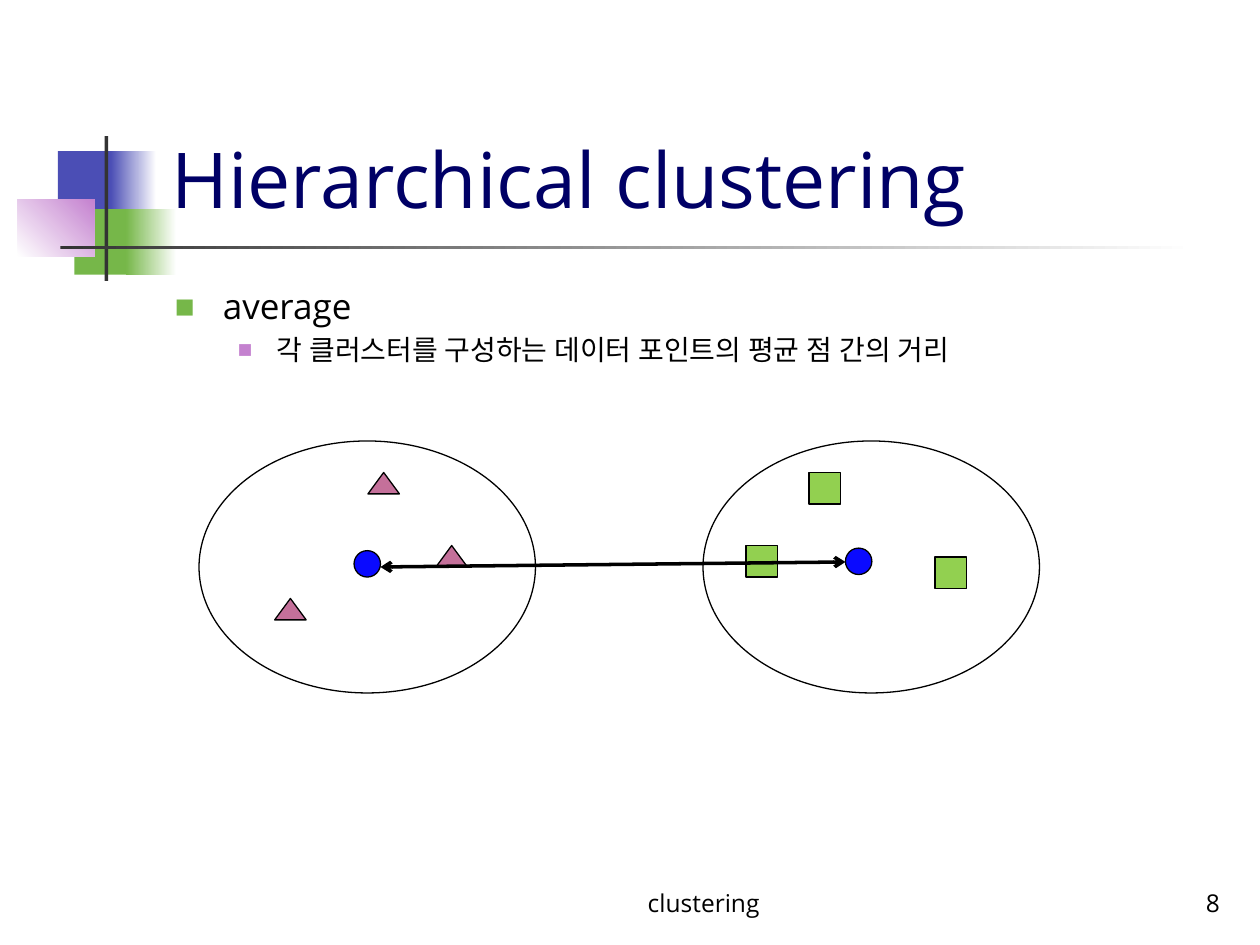
import pptx
import pptx.util
import pptx.dml.color
import pptx.enum.shapes
import pptx.enum.text
import pptx.oxml
import pptx.oxml.ns
from lxml import etree

Inches, Pt = pptx.util.Inches, pptx.util.Pt
KIND = pptx.enum.shapes.MSO_SHAPE
ALIGN = pptx.enum.text.PP_ALIGN
ANCHOR = pptx.enum.text.MSO_ANCHOR
qn = pptx.oxml.ns.qn


def paint(color, text):
    """Set a color format from a hex string."""
    color.rgb = pptx.dml.color.RGBColor.from_string(text)


def write(para, text, size, tint="000000"):
    """Add one run of styled text to a paragraph."""
    run = para.add_run()
    run.text = text
    run.font.name = "Open Sans"
    run.font.size = Pt(size)
    paint(run.font.color, tint)
    etree.SubElement(run.font._element, qn("a:ea")).set("typeface", "Open Sans")


deck = pptx.Presentation()
deck.slide_width, deck.slide_height = Inches(10), Inches(7.5)
slide = deck.slides.add_slide(deck.slide_layouts[5])
shapes = slide.shapes

# Corner blocks and rules: box, start color, end color, angle
decor = [
    ((0.46, 1.2, 0.48, 0.52), "4B4EB5", None, 0),
    ((0.88, 1.2, 0.36, 0.52), "4B4EB5", "FFFFFF", 0),
    ((0.59, 1.66, 0.46, 0.52), "76B749", None, 0),
    ((1, 1.66, 0.4, 0.52), "76B749", "FFFFFF", 0),
    ((0.14, 1.58, 0.61, 0.46), "FFFFFF", "C481CF", 45),
    ((0.83, 1.08, 0.03, 1.15), "333333", None, 0),
    ((0.48, 1.95, 9, 0.03), "333333", "FFFFFF", 0),
]
for box, start, end, angle in decor:
    block = shapes.add_shape(KIND.RECTANGLE, *map(Inches, box))
    block.shadow.inherit = False
    block.line.fill.background()
    if end:
        block.fill.gradient()
        block.fill.gradient_angle = angle
        for stop, tint, place in zip(block.fill.gradient_stops, (start, end), (0, 1)):
            paint(stop.color, tint)
            stop.position = place
    else:
        block.fill.solid()
        paint(block.fill.fore_color, start)

# Title
title = shapes.title
title.left, title.top, title.width, title.height = map(Inches, (1.26, 0.23, 8.52, 1.6))
frame = title.text_frame
frame.word_wrap = True
frame.auto_size = pptx.enum.text.MSO_AUTO_SIZE.NONE
frame.vertical_anchor = ANCHOR.BOTTOM
frame.paragraphs[0].alignment = ALIGN.LEFT
write(frame.paragraphs[0], "Hierarchical clustering", 44, "000066")

# Bulleted text: words, size, indent, hang, bullet color, bullet percent
points = [
    ("average", 20, 0.38, 0.38, "76B749", 60),
    ("각 클러스터를 구성하는 데이터 포인트의 평균 점 간의 거리", 16, 0.81, 0.31, "C481CF", 55),
]
frame = shapes.add_textbox(*map(Inches, (1.29, 2.21, 8.5, 4.5))).text_frame
frame.word_wrap = True
for level, (text, size, indent, hang, tint, scale) in enumerate(points):
    para = frame.add_paragraph() if level else frame.paragraphs[0]
    para.level = level
    para.space_before = Pt(size * 0.2)
    props = para._p.get_or_add_pPr()
    props.set("marL", str(Inches(indent)))
    props.set("indent", str(-Inches(hang)))
    color = etree.SubElement(props, qn("a:buClr"))
    etree.SubElement(color, qn("a:srgbClr")).set("val", tint)
    etree.SubElement(props, qn("a:buSzPct")).set("val", str(scale * 1000))
    etree.SubElement(props, qn("a:buFont")).set("typeface", "Open Sans")
    etree.SubElement(props, qn("a:buChar")).set("char", "■")
    write(para, text, size)

# Footer and page number
for text, left, width, align in [
    ("clustering", 4, 3.17, ALIGN.CENTER),
    ("8", 7.7, 2.08, ALIGN.RIGHT),
]:
    frame = shapes.add_textbox(*map(Inches, (left, 6.83, width, 0.5))).text_frame
    frame.word_wrap = True
    frame.vertical_anchor = ANCHOR.BOTTOM
    frame.paragraphs[0].alignment = align
    write(frame.paragraphs[0], text, 14)

# Clusters, points and centers: kind, size, fill, corners
groups = [
    (KIND.OVAL, (2.67, 2), None, [(1.58, 3.5), (5.58, 3.5)]),
    (KIND.ISOSCELES_TRIANGLE, (0.25, 0.17), "C4709A",
     [(2.18, 4.75), (2.92, 3.75), (3.46, 4.33)]),
    (KIND.RECTANGLE, (0.25, 0.25), "92D050",
     [(6.42, 3.75), (7.42, 4.42), (5.92, 4.33)]),
    (KIND.OVAL, (0.21, 0.21), "0A0AFF", [(2.81, 4.37), (6.71, 4.35)]),
]
for kind, size, tint, spots in groups:
    for spot in spots:
        mark = shapes.add_shape(kind, *map(Inches, spot + size))
        mark.shadow.inherit = False
        if tint:
            mark.fill.solid()
            paint(mark.fill.fore_color, tint)
        else:
            mark.fill.background()
        paint(mark.line.color, "000000")
        mark.line.width = Pt(0.75)

# Distance arrow between the centers
arrow = shapes.add_connector(
    pptx.enum.shapes.MSO_CONNECTOR.STRAIGHT, *map(Inches, (3.02, 4.5, 6.71, 4.46)))
paint(arrow.line.color, "000000")
arrow.line.width = Pt(2)
line = arrow.line._get_or_add_ln()
for end in ("a:headEnd", "a:tailEnd"):
    etree.SubElement(line, qn(end)).set("type", "arrow")
etree.SubElement(arrow._element.spPr, qn("a:effectLst"))

deck.save("out.pptx")
